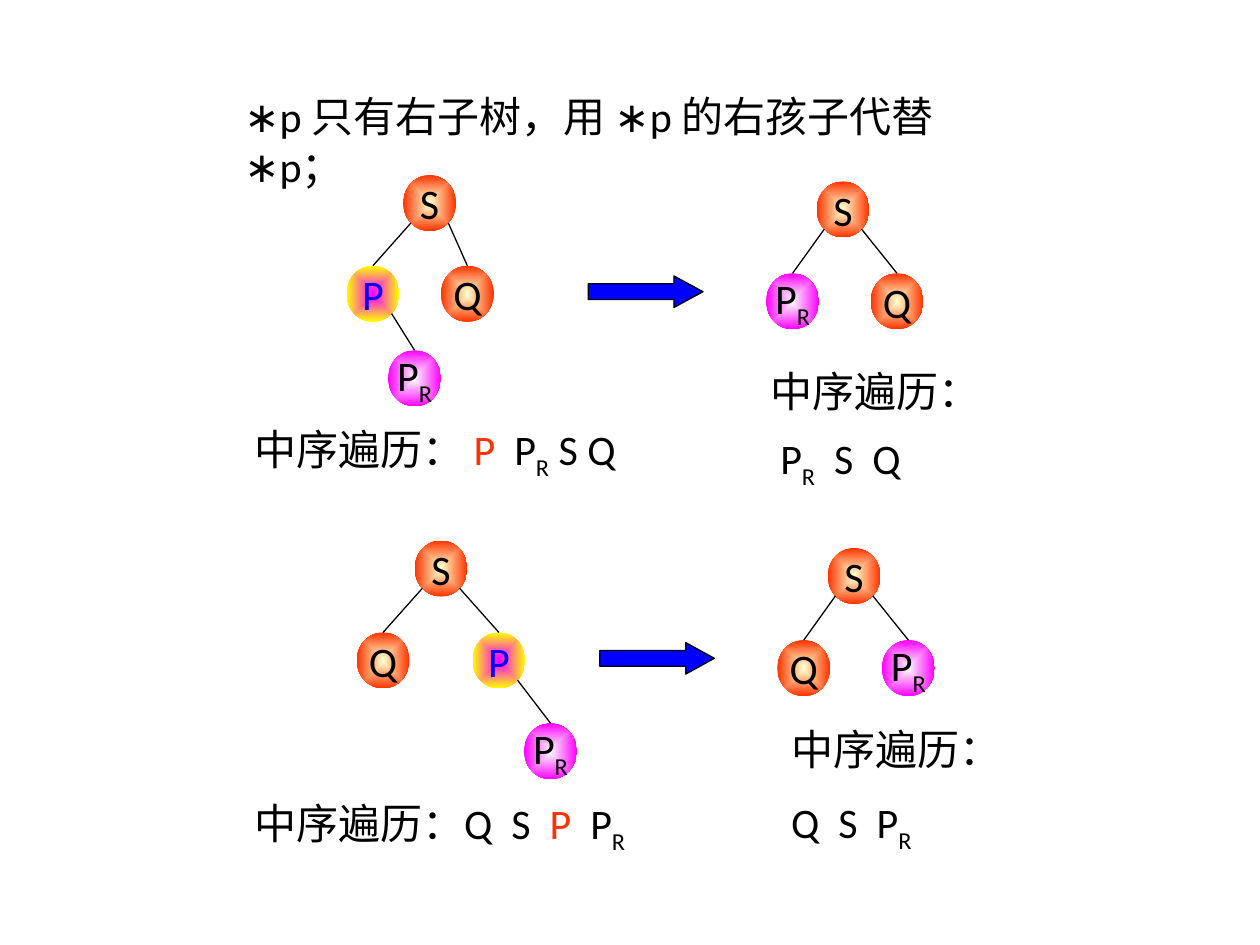
from math import sqrt
from typing import NamedTuple

from lxml.etree import SubElement
from pptx import Presentation
from pptx.dml.color import RGBColor
from pptx.enum.shapes import MSO_CONNECTOR, MSO_SHAPE
from pptx.enum.text import MSO_ANCHOR, MSO_AUTO_SIZE, PP_ALIGN
from pptx.oxml.ns import qn
from pptx.util import Pt

BLACK, BLUE, RED = "000000", "0000FF", "FF3300"
WIDE, HIGH = 30.2, 32
SPACE = 5.4


class Bit(NamedTuple):
    """A run of text with its format."""
    text: str
    color: str = BLACK
    low: bool = False
    gap: float = 0


class Row(NamedTuple):
    """A paragraph made of runs."""
    bits: tuple
    lead: float = 1
    left: float = 0


class Label(NamedTuple):
    """A text box with its paragraphs."""
    x: float
    y: float
    w: float
    h: float
    rows: tuple
    wrap: bool = False
    anchor: MSO_ANCHOR = MSO_ANCHOR.MIDDLE


class Kind(NamedTuple):
    """The look of a tree node."""
    bits: tuple
    inner: str
    outer: str


class Node(NamedTuple):
    """A tree node, with the index of its parent."""
    kind: str
    x: float
    y: float
    root: int = -1


class Arrow(NamedTuple):
    """A block arrow."""
    x: float
    y: float
    head: float


GAP = Bit(" ", gap=SPACE)
RIGHT = (Bit("P"), Bit("R", low=True))
ORDER = Bit("中序遍历：")
DOOMED = Bit("P", RED)

KINDS = {
    "S": Kind((Bit("S"),), "FFFFCC", RED),
    "Q": Kind((Bit("Q"),), "FFFFCC", RED),
    "P": Kind((Bit("P", BLUE),), "FF00FF", "FFFF00"),
    "PR": Kind(RIGHT, "F8F8F8", "FF00FF"),
}

TREES = (
    (Node("S", 230.4, 100.1), Node("P", 198, 151.9, 0),
     Node("PR", 221.8, 200.2, 1), Node("Q", 252, 151.9, 0)),
    (Node("S", 466.6, 103.7), Node("PR", 437.8, 156.2, 0),
     Node("Q", 497.5, 156.2, 0)),
    (Node("S", 236.9, 308.9), Node("P", 270, 361.4, 0),
     Node("PR", 299.5, 413.3, 1), Node("Q", 203.8, 361.4, 0)),
    (Node("S", 473, 313.2), Node("PR", 504, 365.8, 0),
     Node("Q", 444.2, 365.8, 0)),
)

ARROWS = (Arrow(336.2, 157.7, 0.92), Arrow(342.7, 367.2, 0.91))

LABELS = (
    Label(132.5, 48.2, 461.5, 36,
          (Row((Bit("∗p 只有右子树，用 ∗p 的右孩子代替 ∗p；"),)),),
          True, MSO_ANCHOR.TOP),
    Label(138.2, 240.5, 229.7, 36,
          (Row((Bit("中序遍历： "), DOOMED, GAP, *RIGHT, Bit(" S Q"))),)),
    Label(433.4, 208.8, 141.1, 71.3,
          (Row((ORDER,)),
           Row((*RIGHT, GAP, Bit("S"), GAP, Bit("Q")), 1.3, SPACE))),
    Label(138.2, 454.3, 233.3, 36,
          (Row((Bit("中序遍历：Q"), GAP, Bit("S"), GAP, DOOMED, GAP, *RIGHT)),)),
    Label(445, 414, 141.1, 73.4,
          (Row((ORDER,)), Row((Bit("Q"), GAP, Bit("S"), GAP, *RIGHT), 1.4))),
)


def rgb(code: str) -> RGBColor:
    """Turn a hex string into a colour."""
    return RGBColor.from_string(code)


def write(para, text: str, *, color: str = BLACK, low: bool = False,
          gap: float = 0) -> None:
    """Add a run of text to a paragraph."""
    run = para.add_run()
    run.text = text
    run.font.name = "Calibri"
    run.font.size = Pt(24)
    run.font.color.rgb = rgb(color)
    props = run._r.get_or_add_rPr()
    if low:
        props.set("baseline", "-25000")
    if gap:
        props.set("spc", str(round(gap * 100)))


def fill_row(para, bits: tuple) -> None:
    """Write all runs of one paragraph."""
    for bit in bits:
        write(para, bit.text, color=bit.color, low=bit.low, gap=bit.gap)


def add_label(slide, label: Label) -> None:
    """Draw a text box."""
    box = slide.shapes.add_textbox(
        Pt(label.x), Pt(label.y), Pt(label.w), Pt(label.h))
    frame = box.text_frame
    frame.word_wrap = label.wrap
    frame.auto_size = MSO_AUTO_SIZE.SHAPE_TO_FIT_TEXT
    frame.vertical_anchor = label.anchor
    for num, row in enumerate(label.rows):
        para = frame.add_paragraph() if num else frame.paragraphs[0]
        if row.lead != 1:
            para.line_spacing = row.lead
        if row.left:
            para._p.get_or_add_pPr().set("marL", str(Pt(row.left)))
        fill_row(para, row.bits)


def shade(shape, inner: str, outer: str) -> None:
    """Fill a shape with a gradient from its centre."""
    shape.fill.gradient()
    for stop, code in zip(shape.fill.gradient_stops, (inner, outer)):
        stop.color.rgb = rgb(code)
    grad = shape._element.spPr.find(qn("a:gradFill"))
    grad.remove(grad.find(qn("a:lin")))
    way = SubElement(grad, qn("a:path"), {"path": "shape"})
    sides = dict.fromkeys("ltrb", "50000")
    SubElement(way, qn("a:fillToRect"), sides)


def add_node(group, node: Node):
    """Draw a tree node and return its shape."""
    kind = KINDS[node.kind]
    ball = group.shapes.add_shape(
        MSO_SHAPE.OVAL, Pt(node.x), Pt(node.y), Pt(WIDE), Pt(HIGH))
    ball.shadow.inherit = False
    ball.line.fill.background()
    shade(ball, kind.inner, kind.outer)
    frame = ball.text_frame
    frame.word_wrap = False
    frame.vertical_anchor = MSO_ANCHOR.MIDDLE
    para = frame.paragraphs[0]
    para.alignment = PP_ALIGN.CENTER
    fill_row(para, kind.bits)
    return ball


def add_edge(group, root: Node, leaf: Node, ball) -> None:
    """Draw a line from the lower flank of a parent to the top of its child."""
    side = -1 if leaf.x < root.x else 1
    x = root.x + WIDE / 2 * (1 + side / sqrt(2))
    y = root.y + HIGH / 2 * (1 + 1 / sqrt(2))
    edge = group.shapes.add_connector(
        MSO_CONNECTOR.STRAIGHT, Pt(x), Pt(y), Pt(leaf.x + WIDE / 2), Pt(leaf.y))
    edge.end_connect(ball, 0)
    edge.line.color.rgb = rgb(BLACK)
    edge.line.width = Pt(0.75)
    SubElement(edge._element.spPr, qn("a:effectLst"))


def add_tree(slide, nodes: tuple) -> None:
    """Draw a tree as one group."""
    group = slide.shapes.add_group_shape()
    balls = [add_node(group, node) for node in nodes]
    for node, ball in zip(nodes, balls):
        if node.root >= 0:
            add_edge(group, nodes[node.root], node, ball)


def add_arrow(slide, arrow: Arrow) -> None:
    """Draw a block arrow."""
    shape = slide.shapes.add_shape(
        MSO_SHAPE.RIGHT_ARROW, Pt(arrow.x), Pt(arrow.y), Pt(65.5), Pt(18))
    shape.adjustments[0] = 0.5
    shape.adjustments[1] = arrow.head
    shape.shadow.inherit = False
    shape.fill.solid()
    shape.fill.fore_color.rgb = rgb(BLUE)
    shape.line.color.rgb = rgb(BLACK)
    shape.line.width = Pt(0.75)


def main() -> None:
    """Build and save the slide."""
    deck = Presentation()
    deck.slide_width, deck.slide_height = Pt(720), Pt(540)
    slide = deck.slides.add_slide(deck.slide_layouts[6])
    for draw, items in ((add_label, LABELS), (add_arrow, ARROWS),
                        (add_tree, TREES)):
        for item in items:
            draw(slide, item)
    deck.save("out.pptx")


if __name__ == "__main__":
    main()
